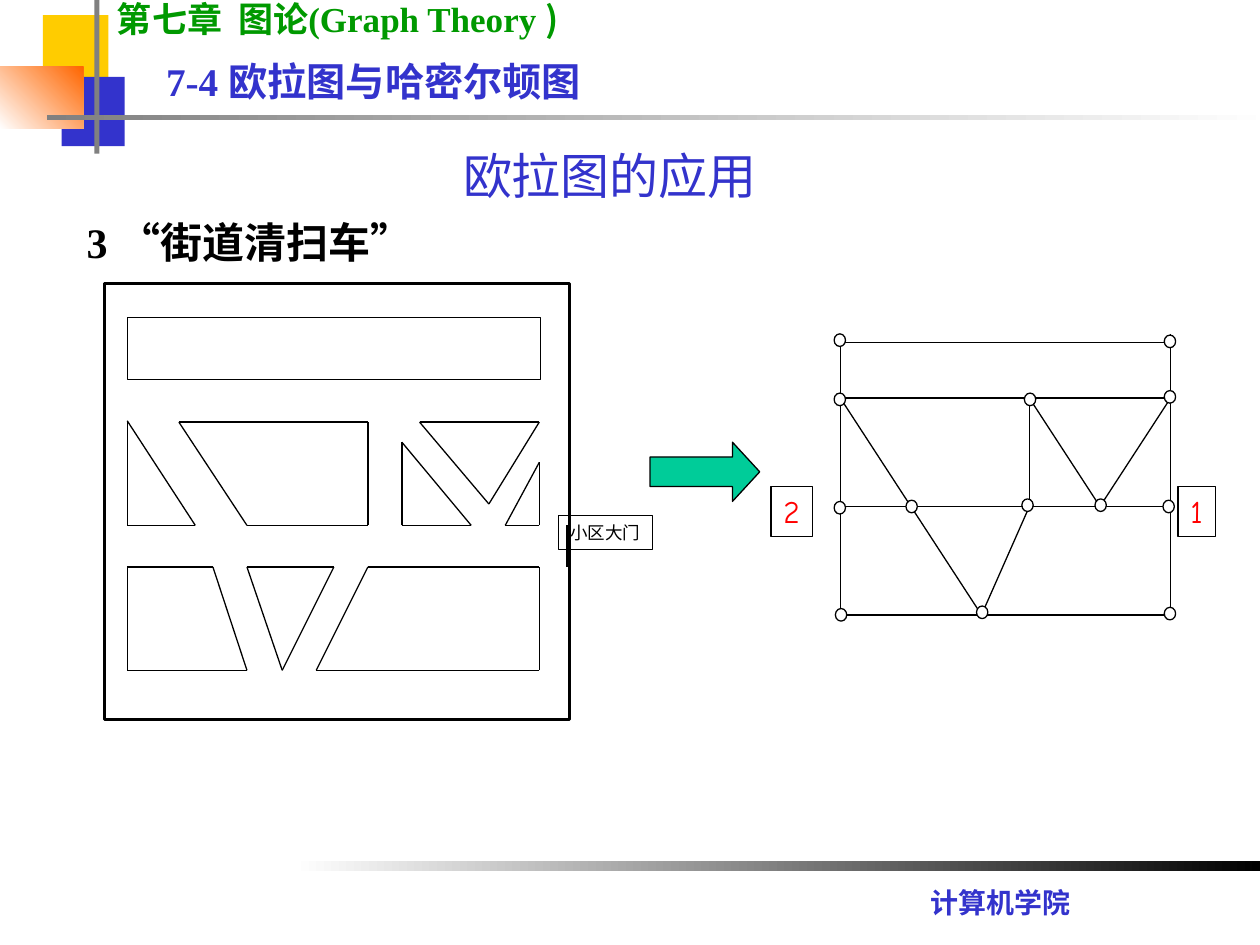
import itertools

import pptx
import pptx.dml.color
import pptx.enum.shapes
import pptx.enum.text
import pptx.oxml.ns
import pptx.util
from lxml import etree
from pptx.dml.color import RGBColor
from pptx.util import Inches

BLACK = RGBColor(0x00, 0x00, 0x00)
WHITE = RGBColor(0xFF, 0xFF, 0xFF)
GREY = RGBColor(0x80, 0x80, 0x80)
YELLOW = RGBColor(0xFF, 0xCC, 0x00)
ORANGE = RGBColor(0xFF, 0x66, 0x00)
BLUE = RGBColor(0x33, 0x33, 0xCC)
GREEN = RGBColor(0x00, 0x99, 0x00)
TEAL = RGBColor(0x00, 0xCC, 0x99)
RED = RGBColor(0xFF, 0x00, 0x00)

SERIF, HAN, COMIC, SANS = "Times New Roman", "Noto Sans CJK SC", "Comic Neue", "Karla"
SHAPE = pptx.enum.shapes.MSO_SHAPE
ALIGN = pptx.enum.text.PP_ALIGN
ANCHOR = pptx.enum.text.MSO_ANCHOR

BLOCKS = [
    [(1.01, 3.34), (1.55, 4.17), (1.01, 4.17)],
    [(1.42, 3.35), (2.92, 3.35), (2.92, 4.17), (1.96, 4.17)],
    [(3.33, 3.35), (4.28, 3.35), (3.88, 4)],
    [(3.19, 3.51), (3.74, 4.17), (3.19, 4.17)],
    [(4.28, 3.67), (4.28, 4.17), (4.01, 4.17)],
    [(1.01, 4.5), (1.69, 4.5), (1.96, 5.32), (1.01, 5.32)],
    [(1.96, 4.5), (2.65, 4.5), (2.24, 5.32)],
    [(2.92, 4.5), (4.28, 4.5), (4.28, 5.32), (2.51, 5.32)],
]
STREETS = [
    [(6.67, 2.72), (9.29, 2.72)],
    [(6.67, 2.65), (6.67, 3.16), (6.67, 4.88)],
    [(9.29, 2.65), (9.29, 3.16), (9.29, 4.88)],
    [(6.67, 3.16), (9.29, 3.16)],
    [(6.67, 4.02), (8.17, 4.02), (8.73, 4.02), (9.29, 4.02)],
    [(6.67, 4.88), (9.29, 4.88)],
    [(6.67, 3.16), (7.79, 4.88), (8.17, 4.02), (8.17, 3.16), (8.73, 4.02), (9.29, 3.16)],
]
CROSSINGS = [
    (6.62, 2.65), (9.24, 2.66), (6.62, 3.12), (8.13, 3.12), (9.24, 3.1),
    (6.62, 3.98), (7.19, 3.97), (8.11, 3.96), (8.69, 3.96), (9.23, 3.97),
    (6.63, 4.83), (7.75, 4.81), (9.24, 4.82),
]


def add_figure(shapes, kind, place, fill=None, line=None):
    """Add a preset shape with a plain or two-colour fill and an optional black outline."""
    figure = shapes.add_shape(kind, *map(Inches, place))
    figure.shadow.inherit = False
    if fill is None:
        figure.fill.background()
    elif isinstance(fill, RGBColor):
        figure.fill.solid()
        figure.fill.fore_color.rgb = fill
    else:
        start, end, angle = fill
        figure.fill.gradient()
        figure.fill.gradient_angle = angle
        for stop, color in zip(figure.fill.gradient_stops, (start, end)):
            stop.color.rgb = color
    if line is None:
        figure.line.fill.background()
    else:
        figure.line.color.rgb = BLACK
        figure.line.width = pptx.util.Pt(line)
    return figure


def add_path(shapes, points, width=0.75):
    """Join successive points with straight black lines."""
    for start, end in itertools.pairwise(points):
        line = shapes.add_connector(
            pptx.enum.shapes.MSO_CONNECTOR.STRAIGHT, *map(Inches, start + end))
        line.line.color.rgb = BLACK
        line.line.width = pptx.util.Pt(width)
        properties = line._element.spPr
        etree.SubElement(properties, pptx.oxml.ns.qn("a:effectLst"))


def write(box, spans, size, color, bold=False, align=ALIGN.LEFT, anchor=ANCHOR.TOP,
          wrap=True, spacing=None):
    """Fill a shape with one paragraph made of (text, font) spans."""
    frame = box.text_frame
    frame.word_wrap = wrap
    frame.vertical_anchor = anchor
    para = frame.paragraphs[0]
    para.alignment = align
    if spacing:
        para.line_spacing = spacing
    for text, font in spans:
        span = para.add_run()
        span.text = text
        span.font.name = font
        span.font.size = pptx.util.Pt(size)
        span.font.bold = bold
        span.font.color.rgb = color
        latin = span.font._element.find(pptx.oxml.ns.qn("a:latin"))
        east_asian = etree.Element(pptx.oxml.ns.qn("a:ea"), typeface=HAN)
        latin.addnext(east_asian)


def add_text(page, place, spans, size, color, **style):
    """Add a text box with one paragraph."""
    write(page.shapes.add_textbox(*map(Inches, place)), spans, size, color, **style)


def add_label(shapes, place, text, font, size, color):
    """Add an outlined label."""
    label = add_figure(shapes, SHAPE.RECTANGLE, place, line=0.75)
    write(label, [(text, font)], size, color, align=ALIGN.JUSTIFY, wrap=False)


def add_decoration(page):
    """Add the corner squares and the fading bars."""
    for place, fill in [
        ((0.34, 0.12, 0.52, 0.55), YELLOW),
        ((0.49, 0.61, 0.5, 0.55), BLUE),
        ((0, 0.53, 0.66, 0.49), (WHITE, ORANGE, 45)),
        ((0.75, 0, 0.04, 1.22), GREY),
        ((0.37, 0.91, 9.75, 0.04), (GREY, WHITE, 0)),
        ((2.33, 6.83, 7.67, 0.08), (WHITE, BLACK, 0)),
    ]:
        add_figure(page.shapes, SHAPE.RECTANGLE, place, fill)


def add_headings(page):
    """Write the chapter, section, title, topic and footer."""
    add_text(page, (0.83, -0.07, 5.75, 0.44),
             [("第", SERIF), ("七", HAN), ("章  图论(Graph Theory ", SERIF), (")", HAN)],
             20, GREEN, bold=True)
    add_text(page, (1.22, 0.44, 7.4, 0.47), [("7-4 欧拉图与哈密尔顿图", SERIF)],
             22.4, BLUE, bold=True, anchor=ANCHOR.MIDDLE, spacing=0.8)
    title = page.shapes.title
    title.left, title.top, title.width, title.height = map(Inches, (0.59, 1.07, 8.5, 0.63))
    write(title, [("欧拉图的应用", COMIC)], 28, BLUE, align=ALIGN.CENTER, anchor=ANCHOR.MIDDLE)
    add_text(page, (0.59, 1.55, 8.5, 4.5),
             [("3 “", SERIF), ("街道清扫车", HAN), ("”", SERIF)],
             24, BLACK, bold=True, spacing=1.3)
    add_text(page, (7.29, 6.98, 1.36, 0.37), [("计算机学院", SANS)],
             16, BLUE, bold=True, wrap=False)


def add_district_map(page):
    """Draw the walled district with its blocks and gate."""
    shapes = page.shapes.add_group_shape().shapes
    add_figure(shapes, SHAPE.RECTANGLE, (0.83, 2.25, 3.69, 3.46), line=1.75)
    add_label(shapes, (4.43, 4.09, 0.75, 0.27), "小区大门", SERIF, 10, BLACK)
    add_figure(shapes, SHAPE.RECTANGLE, (1.01, 2.52, 3.28, 0.49), WHITE, 0.75)
    for corners in BLOCKS:
        add_path(shapes, corners + corners[:1])
    add_path(shapes, [(4.51, 4.17), (4.51, 4.5)], 2)


def add_street_graph(page):
    """Draw the streets as edges and the crossings as vertices."""
    shapes = page.shapes.add_group_shape().shapes
    for street in STREETS:
        add_path(shapes, street)
    for left, top in CROSSINGS:
        add_figure(shapes, SHAPE.OVAL, (left, top, 0.09, 0.1), WHITE, 0.75)
    add_label(shapes, (6.12, 3.86, 0.33, 0.4), "2", COMIC, 18, RED)
    add_label(shapes, (9.35, 3.86, 0.3, 0.4), "1", COMIC, 18, RED)


def main():
    """Build the slide and save it."""
    deck = pptx.Presentation()
    deck.slide_width, deck.slide_height = Inches(10), Inches(7.5)
    page = deck.slides.add_slide(deck.slide_layouts[5])
    add_decoration(page)
    add_headings(page)
    add_district_map(page)
    add_street_graph(page)
    arrow = add_figure(page.shapes, SHAPE.RIGHT_ARROW, (5.16, 3.51, 0.87, 0.47), TEAL, 0.75)
    arrow.adjustments[1] = 0.46
    deck.save("out.pptx")


if __name__ == "__main__":
    main()
